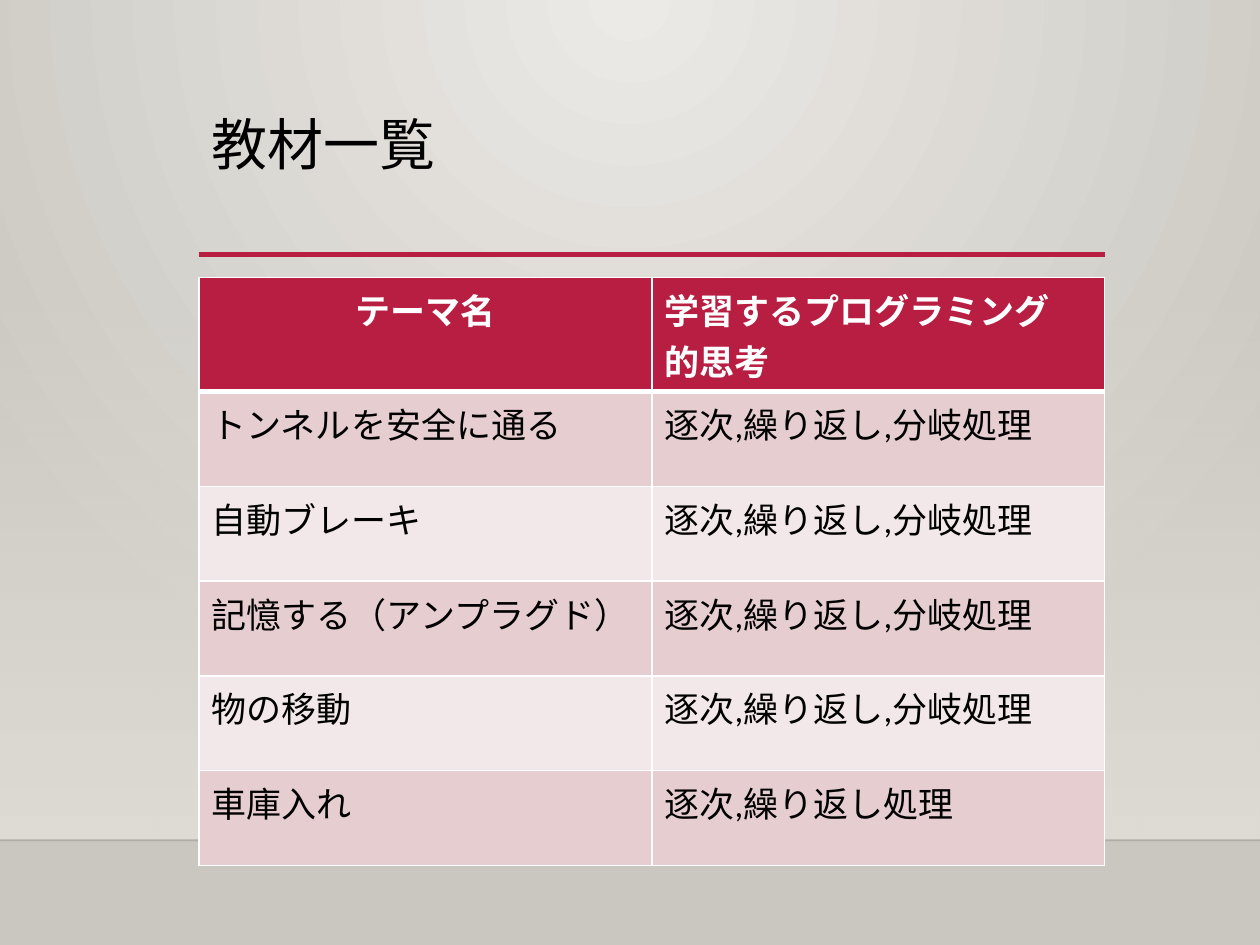
from lxml import etree
from pptx import Presentation
from pptx.dml.color import RGBColor
from pptx.enum.shapes import MSO_CONNECTOR, MSO_SHAPE
from pptx.enum.text import MSO_ANCHOR, PP_ALIGN
from pptx.oxml.ns import qn
from pptx.util import Cm, Pt

STRAIGHT, RECTANGLE = MSO_CONNECTOR.STRAIGHT, MSO_SHAPE.RECTANGLE
TOP, LEFT, CENTER = MSO_ANCHOR.TOP, PP_ALIGN.LEFT, PP_ALIGN.CENTER
TITLE_ONLY = 5
RED, WHITE, BLACK = "B71E42", "FFFFFF", "000000"
SAND, STONE = "DFDBD5", "CAC7C1"
ROW_FILLS = ["E6CDCF", "F3E8E9"]
CONTENT_LEFT, CONTENT_WIDTH = Cm(4.01), Cm(18.26)
FLOOR = Cm(16.94)


def color(value):
    return RGBColor.from_string(value)


def add_text(para, text, formats):
    span = para.add_run()
    span.text = text
    span.font.color.rgb = color(formats["color"])
    for name in ("name", "size", "bold"):
        setattr(span.font, name, formats[name])


deck = Presentation()
deck.slide_width, deck.slide_height = Cm(25.4), Cm(19.05)
page = deck.slides.add_slide(deck.slide_layouts[TITLE_ONLY])

# Background: light glow from the top centre
backdrop = page.background.fill
backdrop.gradient()
for stop, shade in zip(backdrop.gradient_stops, ["ECEAE7", STONE]):
    stop.color.rgb = color(shade)
gradient = page.element.find(".//" + qn("a:gradFill"))
gradient.remove(gradient.find(qn("a:lin")))
glow = etree.SubElement(gradient, qn("a:path"), {"path": "circle"})
etree.SubElement(glow, qn("a:fillToRect"),
                 {"l": "43000", "t": "0", "r": "43000", "b": "100000"})

# Wall that fades in towards the floor
wall = page.shapes.add_shape(RECTANGLE, 0, Cm(5.59), deck.slide_width, FLOOR - Cm(5.59))
wall.shadow.inherit = False
wall.line.fill.background()
wall.fill.gradient()
wall.fill.gradient_angle = 270
for stop in wall.fill.gradient_stops:
    stop.color.rgb = color(SAND)
clear_stop = wall.element.spPr.find(".//" + qn("a:srgbClr"))
etree.SubElement(clear_stop, qn("a:alpha"), {"val": "0"})

# Floor line and title rule
rules = [
    (0, deck.slide_width, FLOOR, "000001", 1, 20),
    (CONTENT_LEFT, CONTENT_LEFT + CONTENT_WIDTH, Cm(5.13), RED, 2.5, 100),
]
for start, end, height, shade, width, opacity in rules:
    rule = page.shapes.add_connector(STRAIGHT, start, height, end, height)
    rule.line.color.rgb = color(shade)
    rule.line.width = Pt(width)
    properties = rule.element.spPr
    if opacity < 100:
        tint = properties.find(".//" + qn("a:srgbClr"))
        etree.SubElement(tint, qn("a:alpha"), {"val": str(opacity * 1000)})
    etree.SubElement(properties, qn("a:effectLst"))

# Title
title = page.shapes.title
title_box = {"left": CONTENT_LEFT, "top": Cm(2.24), "width": CONTENT_WIDTH, "height": Cm(2.92)}
for name, value in title_box.items():
    setattr(title, name, value)
title.text_frame.vertical_anchor = TOP
title.text_frame.word_wrap = True
para = title.text_frame.paragraphs[0]
para.alignment = LEFT
para.line_spacing = 0.9
add_text(para, "教材一覧", {"name": "Calibri", "size": Pt(32), "bold": False, "color": BLACK})

# Table of teaching materials
ALL_STEPS = "逐次,繰り返し,分岐処理"
rows = [
    ("テーマ名", "学習するプログラミング　的思考"),
    ("トンネルを安全に通る", ALL_STEPS),
    ("自動ブレーキ", ALL_STEPS),
    ("記憶する（アンプラグド）", ALL_STEPS),
    ("物の移動", ALL_STEPS),
    ("車庫入れ", "逐次,繰り返し処理"),
]
table = page.shapes.add_table(len(rows), 2, CONTENT_LEFT, Cm(5.59),
                              CONTENT_WIDTH, Cm(1.91) * len(rows)).table
for row_index, texts in enumerate(rows):
    is_header = row_index == 0
    formats = {"name": "Calibri", "size": Pt(20), "bold": is_header,
               "color": WHITE if is_header else BLACK}
    for column_index, text in enumerate(texts):
        cell = table.cell(row_index, column_index)
        cell.fill.solid()
        cell.fill.fore_color.rgb = color(RED if is_header else ROW_FILLS[(row_index - 1) % 2])
        para = cell.text_frame.paragraphs[0]
        para.alignment = CENTER if is_header and column_index == 0 else LEFT
        add_text(para, text, formats)

        # White borders, heavier under the header
        widths = {"L": 1, "R": 1, "T": 3 if row_index == 1 else 1, "B": 3 if is_header else 1}
        cell_properties = cell._tc.get_or_add_tcPr()
        for position, (side, width) in enumerate(widths.items()):
            border = etree.Element(qn("a:ln" + side), {"w": str(Pt(width))})
            paint = etree.SubElement(border, qn("a:solidFill"))
            etree.SubElement(paint, qn("a:srgbClr"), {"val": WHITE})
            cell_properties.insert(position, border)

deck.save("out.pptx")
